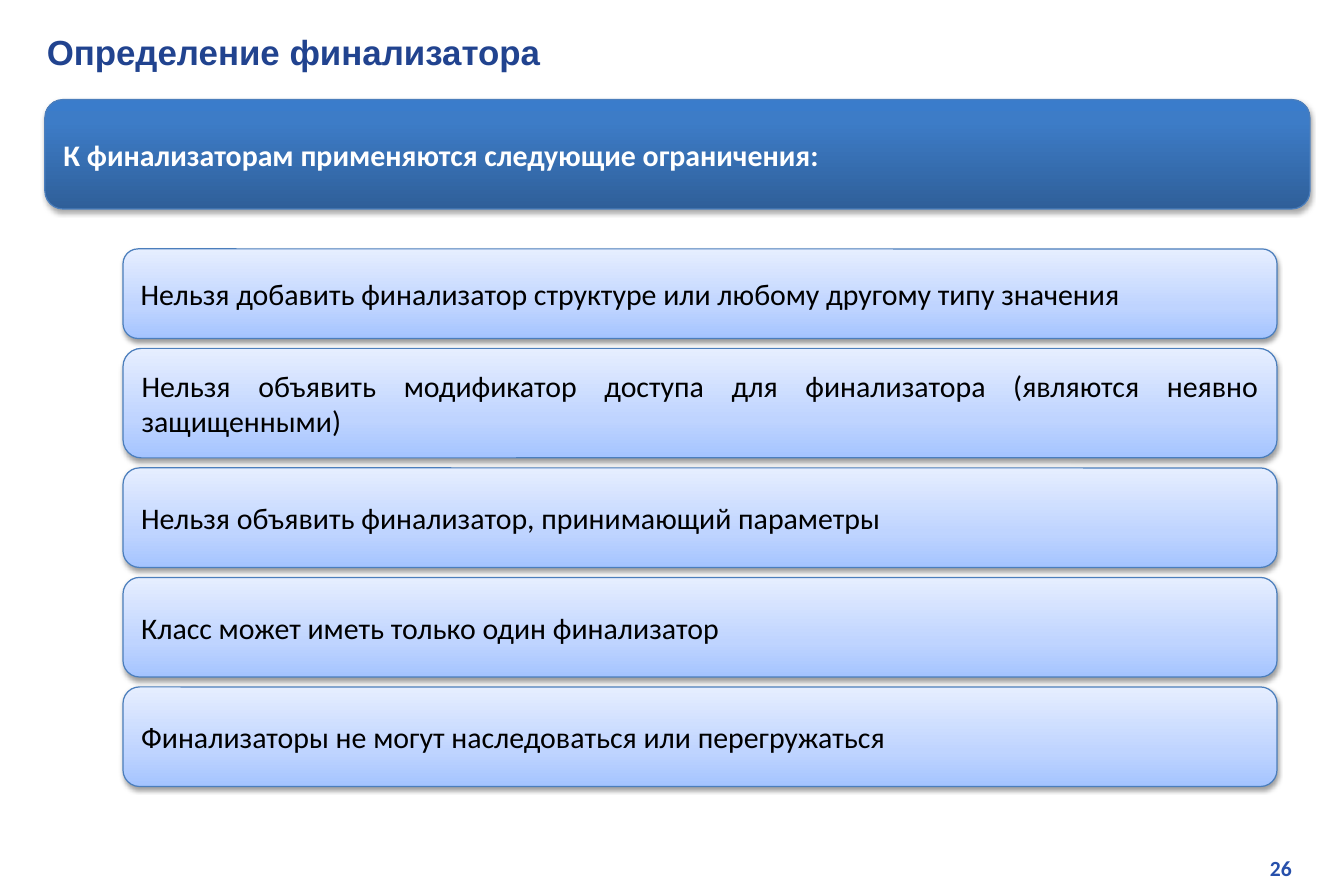
from dataclasses import dataclass

from lxml import etree
from pptx import Presentation
from pptx.dml.color import RGBColor
from pptx.enum.shapes import MSO_SHAPE
from pptx.enum.text import MSO_ANCHOR, PP_ALIGN
from pptx.oxml.ns import qn
from pptx.shapes.autoshape import Shape
from pptx.slide import Slide
from pptx.text.text import TextFrame
from pptx.util import Pt

ROUNDED = MSO_SHAPE.ROUNDED_RECTANGLE
LEFT, RIGHT, JUSTIFY = PP_ALIGN.LEFT, PP_ALIGN.RIGHT, PP_ALIGN.JUSTIFY
TOP, MIDDLE = MSO_ANCHOR.TOP, MSO_ANCHOR.MIDDLE

WHITE = RGBColor(0xFF, 0xFF, 0xFF)
BLACK = RGBColor(0x00, 0x00, 0x00)
TITLE_BLUE = RGBColor(0x21, 0x43, 0x8F)
NUMBER_BLUE = RGBColor(0x27, 0x50, 0xAB)
OUTLINE_BLUE = RGBColor(0x4B, 0x7E, 0xBC)
HEADER_DARK = RGBColor(0x2F, 0x5F, 0x99)
HEADER_MIDDLE = RGBColor(0x3D, 0x7C, 0xC7)
HEADER_LIGHT = RGBColor(0x3A, 0x7C, 0xCB)
RULE_DARK = RGBColor(0xA4, 0xC4, 0xFF)
RULE_MIDDLE = RGBColor(0xBF, 0xD4, 0xFF)
RULE_LIGHT = RGBColor(0xE6, 0xEE, 0xFF)


@dataclass(frozen=True)
class Area:
    left: float
    top: float
    width: float
    height: float

    def lengths(self) -> tuple[Pt, Pt, Pt, Pt]:
        return Pt(self.left), Pt(self.top), Pt(self.width), Pt(self.height)


@dataclass(frozen=True)
class TextStyle:
    font: str
    size: float
    color: RGBColor
    bold: bool
    align: PP_ALIGN
    anchor: MSO_ANCHOR


@dataclass(frozen=True)
class PanelStyle:
    """Gradient stops run from bottom to top as (percent, colour)."""
    stops: tuple[tuple[int, RGBColor], ...]
    shadow_opacity: int
    shadow_distance: float
    text: TextStyle


@dataclass(frozen=True)
class Rule:
    text: str
    height: float


TITLE = TextStyle("Arial", 21, TITLE_BLUE, True, LEFT, TOP)
NUMBER = TextStyle("Calibri", 13, NUMBER_BLUE, True, RIGHT, TOP)
HEADER = PanelStyle(
    ((0, HEADER_DARK), (80, HEADER_MIDDLE), (100, HEADER_LIGHT)), 35, 1.8,
    TextStyle("Calibri", 18, WHITE, True, JUSTIFY, MIDDLE))
RULE = PanelStyle(
    ((0, RULE_DARK), (35, RULE_MIDDLE), (100, RULE_LIGHT)), 38, 1.6,
    TextStyle("Calibri", 18, BLACK, False, JUSTIFY, MIDDLE))

RULES = (
    Rule("Нельзя добавить финализатор структуре или любому другому типу значения", 54),
    Rule("Нельзя объявить модификатор доступа для финализатора "
         "(являются неявно защищенными)", 66),
    Rule("Нельзя объявить финализатор, принимающий параметры", 60),
    Rule("Класс может иметь только один финализатор", 60),
    Rule("Финализаторы не могут наследоваться или перегружаться", 60),
)
RULES_LEFT, RULES_TOP, RULES_WIDTH, RULES_GAP = 74.16, 150, 695.5, 6


def write_text(frame: TextFrame, text: str, style: TextStyle) -> None:
    frame_format = {
        "word_wrap": True, "vertical_anchor": style.anchor,
        "margin_left": Pt(8), "margin_right": Pt(8),
        "margin_top": Pt(4), "margin_bottom": Pt(4),
    }
    for name, value in frame_format.items():
        setattr(frame, name, value)
    para = frame.paragraphs[0]
    para.alignment = style.align
    span = para.add_run()
    span.text = text
    font_format = {"name": style.font, "size": Pt(style.size), "bold": style.bold}
    for name, value in font_format.items():
        setattr(span.font, name, value)
    span.font.color.rgb = style.color


def add_color(parent: etree._Element, color: RGBColor) -> etree._Element:
    return etree.SubElement(parent, qn("a:srgbClr"), val=str(color))


def fill_gradient(panel: Shape, stops: tuple[tuple[int, RGBColor], ...]) -> None:
    panel.fill.gradient()
    panel.fill.gradient_angle = 90
    stop_list = panel.element.spPr.find(f".//{qn('a:gsLst')}")
    for stop in list(stop_list):
        stop_list.remove(stop)
    for percent, color in stops:
        add_color(etree.SubElement(stop_list, qn("a:gs"), pos=str(percent * 1000)), color)


def cast_shadow(panel: Shape, opacity: int, distance: float) -> None:
    panel.shadow.inherit = False
    effects = panel.element.spPr.find(qn("a:effectLst"))
    shadow = etree.SubElement(
        effects, qn("a:outerShdw"), blurRad=str(Pt(3.1)), dist=str(Pt(distance)),
        dir="5400000", rotWithShape="0")
    etree.SubElement(add_color(shadow, BLACK), qn("a:alpha"), val=str(opacity * 1000))


def add_label(page: Slide, area: Area, text: str, style: TextStyle) -> None:
    box = page.shapes.add_textbox(*area.lengths())
    write_text(box.text_frame, text, style)


def add_panel(page: Slide, area: Area, text: str, style: PanelStyle) -> None:
    panel = page.shapes.add_shape(ROUNDED, *area.lengths())
    fill_gradient(panel, style.stops)
    panel.line.color.rgb = OUTLINE_BLUE
    panel.line.width = Pt(0.75)
    cast_shadow(panel, style.shadow_opacity, style.shadow_distance)
    write_text(panel.text_frame, text, style.text)


def main() -> None:
    deck = Presentation()
    deck.slide_width, deck.slide_height = Pt(810), Pt(540)
    page = deck.slides.add_slide(deck.slide_layouts[6])

    add_label(page, Area(615, 511, 171.5, 24.5), "26", NUMBER)
    add_label(page, Area(20.2, 14.4, 773.3, 28.8), "Определение финализатора", TITLE)
    add_panel(page, Area(27, 60, 762.5, 66),
              "К финализаторам применяются следующие ограничения:", HEADER)
    top = RULES_TOP
    for rule in RULES:
        add_panel(page, Area(RULES_LEFT, top, RULES_WIDTH, rule.height), rule.text, RULE)
        top += rule.height + RULES_GAP

    deck.save("out.pptx")


if __name__ == "__main__":
    main()
